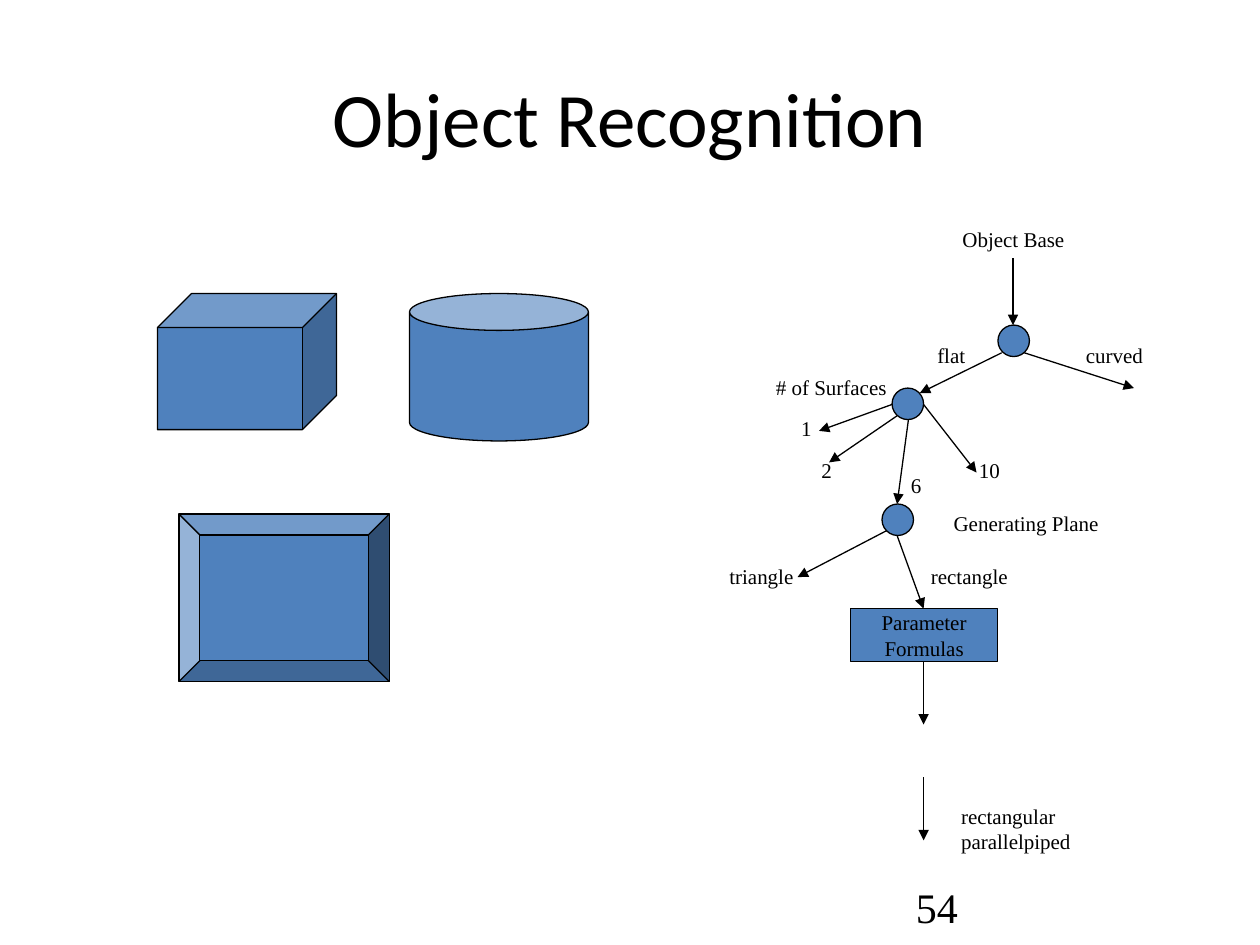
from lxml import etree
from pptx import Presentation
from pptx.dml.color import RGBColor
from pptx.enum import shapes, text
from pptx.oxml.ns import qn
from pptx.util import Inches, Pt

BLACK = RGBColor(0x00, 0x00, 0x00)
BLUE = RGBColor(0x4F, 0x81, 0xBD)
KIND = shapes.MSO_SHAPE
FIT = text.MSO_AUTO_SIZE
SERIF = "Times New Roman"
NODE = 0.25

SOLIDS = [
    (KIND.CUBE, 1.25, 2.33, 1.42, 1.08, 0.25),
    (KIND.CAN, 3.25, 2.33, 1.42, 1.17, 0.25),
    (KIND.BEVEL, 1.42, 4.08, 1.67, 1.33, 0.125),
]
NODES = [(7.92, 2.58), (7.08, 3.08), (7, 4)]
LABELS = [
    ("Object Base", 7.54, 1.75, 1.01, 0.3),
    ("# of Surfaces", 6.06, 2.92, 1.08, 0.3),
    ("Generating Plane", 7.47, 4, 1.35, 0.3),
    ("rectangular\nparallelpiped", 7.53, 6.33, 1.07, 0.5),
    ("1", 6.26, 3.25, 0.28, 0.3),
    ("2", 6.42, 3.58, 0.28, 0.3),
    ("10", 7.67, 3.58, 0.38, 0.3),
    ("6", 7.13, 3.7, 0.28, 0.3),
    ("curved", 8.52, 2.67, 0.65, 0.3),
    ("flat", 7.34, 2.67, 0.42, 0.3),
    ("triangle", 5.69, 4.42, 0.71, 0.3),
    ("rectangle", 7.29, 4.42, 0.81, 0.3),
]
ARROWS = [
    (8.04, 2.05, 8.04, 2.58),
    (8.13, 2.8, 9, 3.08),
    (7.95, 2.8, 7.3, 3.12),
    (7.08, 3.21, 6.5, 3.42),
    (7.12, 3.3, 6.58, 3.67),
    (7.21, 3.33, 7.12, 4),
    (7.33, 3.21, 7.75, 3.75),
    (7.04, 4.21, 6.33, 4.58),
    (7.12, 4.25, 7.33, 4.83),
    (7.33, 5.25, 7.33, 5.75),
    (7.33, 6.17, 7.33, 6.67),
]


def assign(item, **values):
    for name, value in values.items():
        setattr(item, name, value)


def write(frame, words, size=12, face=SERIF, align=text.PP_ALIGN.LEFT, **look):
    assign(frame, text=words, **look)
    for para in frame.paragraphs:
        para.alignment = align
        assign(para.font, size=Pt(size), name=face)
        para.font.color.rgb = BLACK


def add_title(slide, words):
    title = slide.shapes.title
    assign(title, left=Inches(0.5), top=Inches(0.3),
           width=Inches(9), height=Inches(1.25))
    write(title.text_frame, words, 44, "Calibri", text.PP_ALIGN.CENTER,
          vertical_anchor=text.MSO_ANCHOR.MIDDLE)


def add_solid(slide, kind, *box, adjust=None):
    solid = slide.shapes.add_shape(kind, *map(Inches, box))
    solid.shadow.inherit = False
    solid.fill.solid()
    solid.fill.fore_color.rgb = BLUE
    solid.line.color.rgb = BLACK
    solid.line.width = Pt(0.75)
    if adjust:
        solid.adjustments[0] = adjust
    return solid


def add_label(slide, words, *box, size=12, wrap=False,
              fit=FIT.SHAPE_TO_FIT_TEXT):
    label = slide.shapes.add_textbox(*map(Inches, box))
    write(label.text_frame, words, size, word_wrap=wrap, auto_size=fit)


def add_arrow(slide, *ends):
    arrow = slide.shapes.add_connector(
        shapes.MSO_CONNECTOR.STRAIGHT, *map(Inches, ends))
    arrow.line.color.rgb = BLACK
    arrow.line.width = Pt(0.75)
    tip = etree.SubElement(arrow.line._get_or_add_ln(), qn("a:tailEnd"))
    tip.set("type", "triangle")
    etree.SubElement(arrow._element.spPr, qn("a:effectLst"))


def main():
    deck = Presentation()
    assign(deck, slide_width=Inches(10), slide_height=Inches(7.5))
    slide = deck.slides.add_slide(deck.slide_layouts[5])
    add_title(slide, "Object Recognition")
    for kind, *box, adjust in SOLIDS:
        add_solid(slide, kind, *box, adjust=adjust)
    for left, top in NODES:
        add_solid(slide, KIND.FLOWCHART_CONNECTOR, left, top, NODE, NODE)
    for ends in ARROWS:
        add_arrow(slide, *ends)
    step = add_solid(slide, KIND.RECTANGLE, 6.75, 4.83, 1.17, 0.42)
    write(step.text_frame, "Parameter\nFormulas",
          align=text.PP_ALIGN.CENTER, word_wrap=False,
          vertical_anchor=text.MSO_ANCHOR.MIDDLE)
    for label in LABELS:
        add_label(slide, *label)
    add_label(slide, "54", 7.17, 6.95, 2.33, 0.4,
              size=24, wrap=True, fit=FIT.NONE)
    deck.save("out.pptx")


if __name__ == "__main__":
    main()
